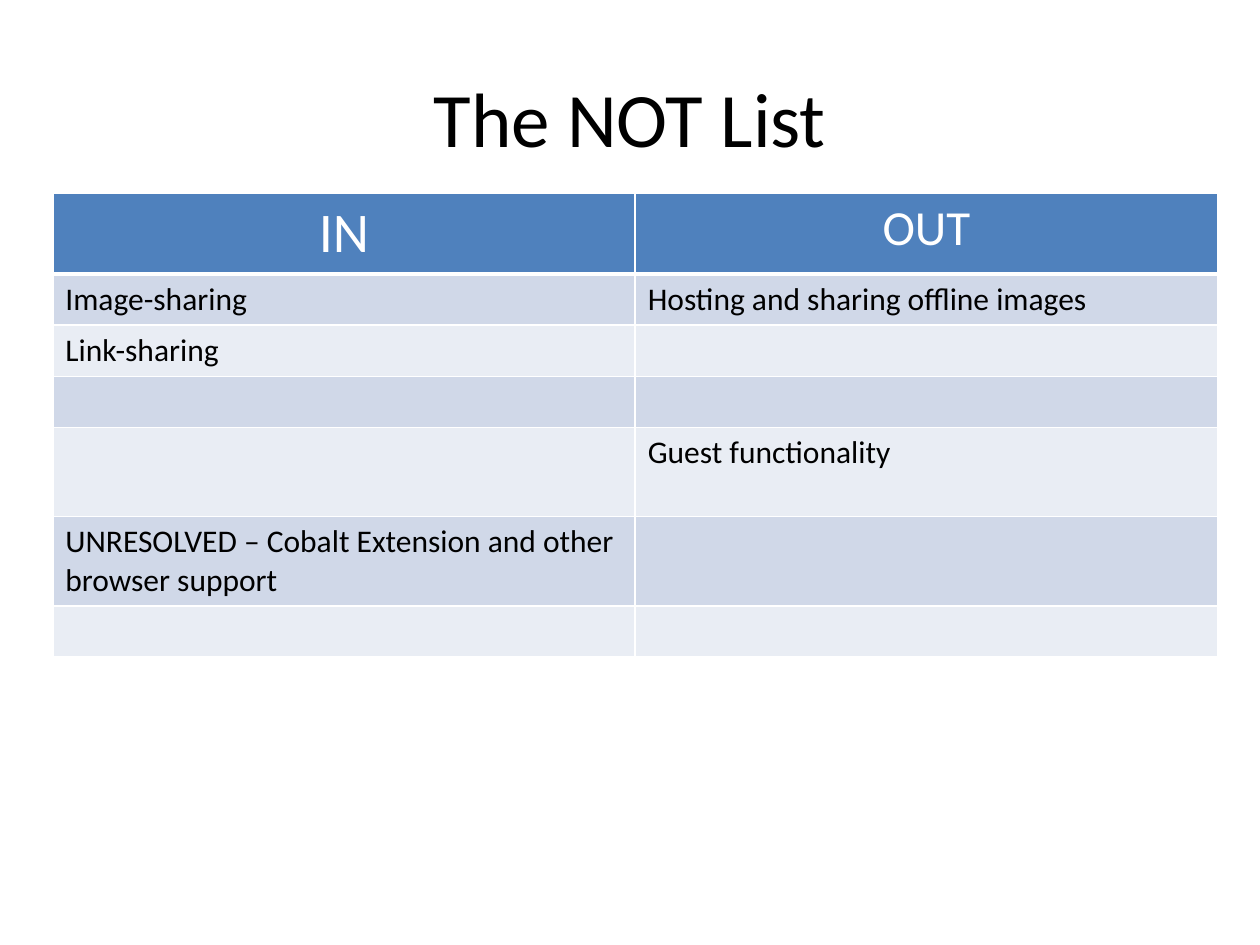
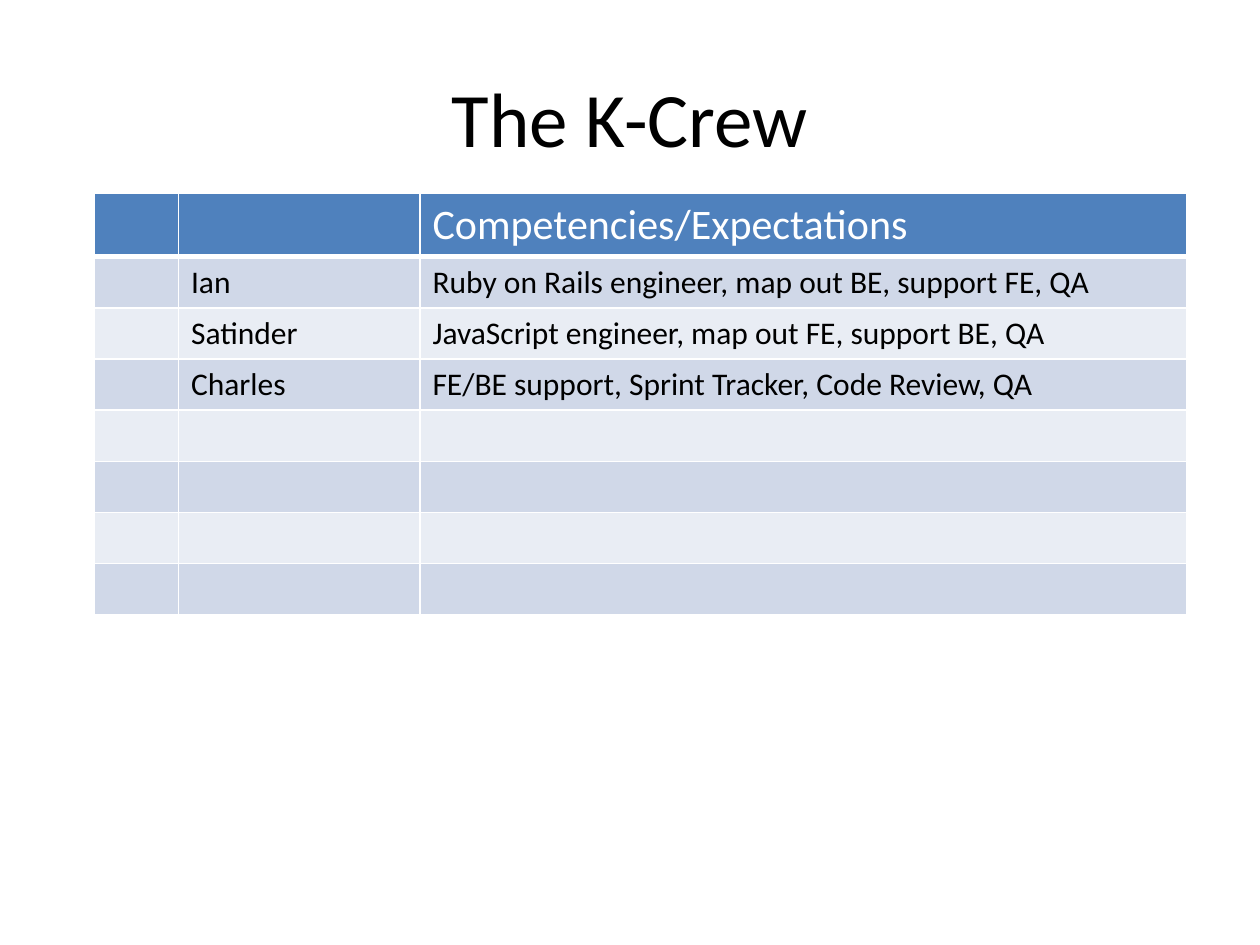
import pptx
import pptx.dml.color
import pptx.enum.text
import pptx.oxml
import pptx.oxml.ns
import pptx.util

Pt = pptx.util.Pt
ALIGN = pptx.enum.text.PP_ALIGN
ANCHOR = pptx.enum.text.MSO_ANCHOR

FONT = "Calibri"
INK, WHITE, HEADER_BLUE = "000000", "FFFFFF", "4F81BD"
BANDS = ("D0D8E8", "E9EDF4")
TITLE_BOX = (36, 21.6, 648, 90)
TABLE_TOP = 110.2
LINE_ROW, TWO_LINE_ROW = 29.25, 50.85


def color(hex_value):
    return pptx.dml.color.RGBColor.from_string(hex_value)


def apply(target, values):
    for name, value in values.items():
        setattr(target, name, value)


def write(frame, words, size, ink, align):
    paragraph = frame.paragraphs[0]
    paragraph.alignment = align
    run = paragraph.add_run()
    run.text = words
    apply(run.font, {"name": FONT, "size": Pt(size), "bold": False})
    run.font.color.rgb = color(ink)


def add_title(slide, box, words):
    heading = slide.shapes.title
    apply(heading, dict(zip(("left", "top", "width", "height"), map(Pt, box))))
    heading.text_frame.vertical_anchor = ANCHOR.MIDDLE
    write(heading.text_frame, words, 44, INK, ALIGN.CENTER)


def add_borders(cell, bottom):
    properties = cell._tc.get_or_add_tcPr()
    for side, width in (("L", 1), ("R", 1), ("T", 1), ("B", bottom)):
        properties.append(pptx.oxml.parse_xml(
            f'<a:ln{side} {pptx.oxml.ns.nsdecls("a")} w="{Pt(width)}">'
            f'<a:solidFill><a:srgbClr val="{WHITE}"/></a:solidFill></a:ln{side}>'))


def add_banded_table(slide, left, top, widths, heights, rows, header_sizes, header_align):
    grid = slide.shapes.add_table(
        len(rows), len(widths), Pt(left), Pt(top), Pt(sum(widths)), Pt(sum(heights))).table
    apply(grid, {"first_row": False, "horz_banding": False})
    for column, width in zip(grid.columns, widths):
        column.width = Pt(width)
    for r, (entries, height) in enumerate(zip(rows, heights)):
        grid.rows[r].height = Pt(height)
        is_header = r == 0
        for c, words in enumerate(entries):
            cell = grid.cell(r, c)
            add_borders(cell, 3 if is_header else 1)
            cell.fill.solid()
            cell.fill.fore_color.rgb = color(HEADER_BLUE if is_header else BANDS[(r - 1) % 2])
            if words and is_header:
                write(cell.text_frame, words, header_sizes[c], WHITE, header_align)
            elif words:
                write(cell.text_frame, words, 18, INK, ALIGN.LEFT)


def add_table_slide(deck, title, **table):
    slide = deck.slides.add_slide(deck.slide_layouts.get_by_name("Title Only"))
    add_title(slide, TITLE_BOX, title)
    add_banded_table(slide, top=TABLE_TOP, **table)


def main():
    deck = pptx.Presentation()
    apply(deck, {"slide_width": Pt(720), "slide_height": Pt(540)})
    add_table_slide(
        deck, "The NOT List",
        left=30.2, widths=[332.8] * 2,
        heights=[45.9] + [LINE_ROW] * 3 + [TWO_LINE_ROW] * 2 + [LINE_ROW],
        header_sizes=(32, 28), header_align=ALIGN.CENTER,
        rows=[
            ("IN", "OUT"),
            ("Image-sharing", "Hosting and sharing offline images"),
            ("Link-sharing", ""),
            ("", ""),
            ("", "Guest functionality"),
            ("UNRESOLVED – Cobalt Extension and other browser support", ""),
            ("", ""),
        ])
    add_table_slide(
        deck, "The K-Crew",
        left=54, widths=[48, 138, 438],
        heights=[36.4] + [LINE_ROW] * 7,
        header_sizes=(24, 24, 24), header_align=ALIGN.LEFT,
        rows=[
            ("", "", "Competencies/Expectations"),
            ("", "Ian", "Ruby on Rails engineer, map out BE, support FE, QA"),
            ("", "Satinder", "JavaScript engineer, map out FE, support BE, QA"),
            ("", "Charles", "FE/BE support, Sprint Tracker, Code Review, QA"),
        ] + [("", "", "")] * 4)
    deck.save("out.pptx")


if __name__ == "__main__":
    main()
